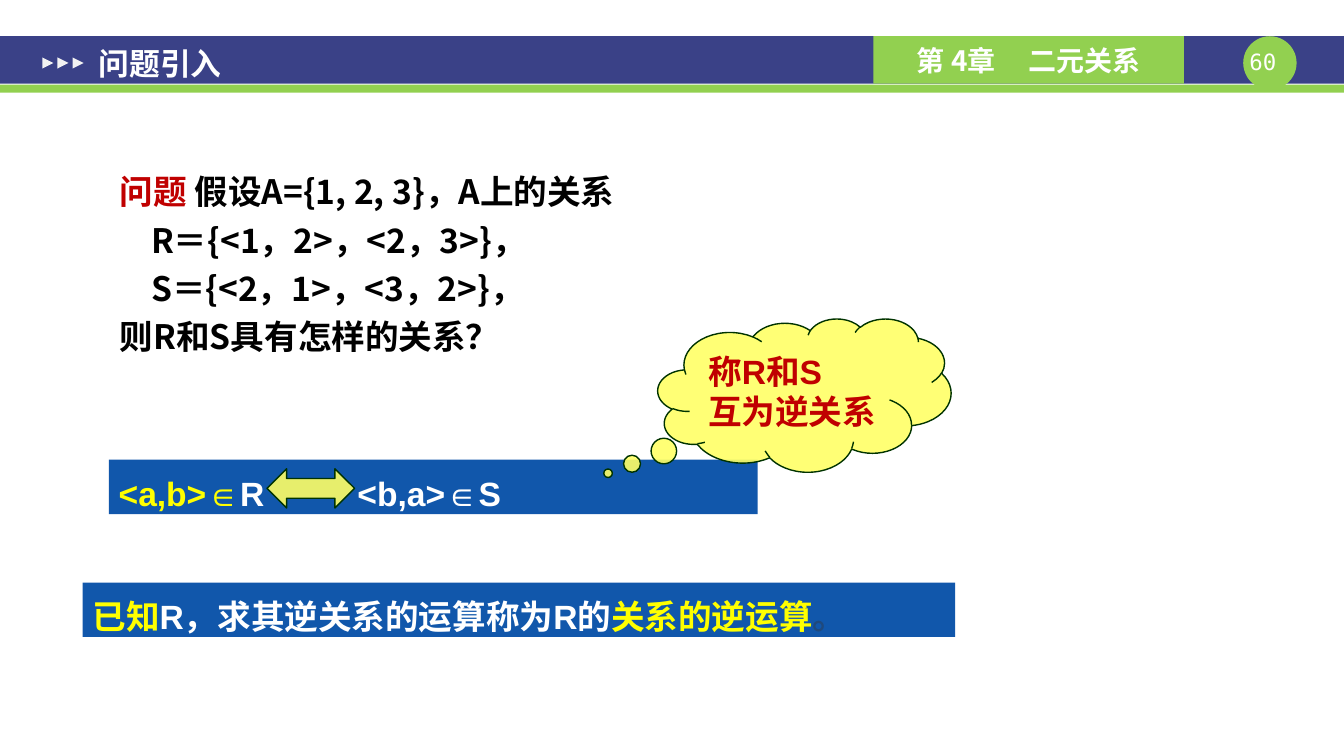
from pptx import Presentation
from pptx.util import Inches, Pt
from pptx.dml.color import RGBColor
from pptx.enum.shapes import MSO_SHAPE
from pptx.enum.text import MSO_ANCHOR, PP_ALIGN
from pptx.oxml.ns import qn
from lxml.etree import SubElement

WIDE, HIGH = 13.34, 7.5
NAVY, GREEN, BLUE, CREAM = "3A4187", "92D050", "1157AB", "FFFF66"
WHITE, BLACK, RED, YELLOW = "FFFFFF", "000000", "C00000", "FFFF00"
INK, EDGE, PALE = "1F497D", "003300", "F2F2F2"
HAN, MONO, SANS = "Noto Sans CJK SC", "DejaVu Sans Mono", "Arial"
SLIM = (0.1, 0.05, 0.1, 0.05)
ROOMY = (0.13, 0.07, 0.13, 0.07)


def color(code):
    return RGBColor.from_string(code)


def apply(target, values):
    for name, value in values.items():
        setattr(target, name, value)


def shape(slide, kind, box, fill, line=None, alpha=None):
    item = slide.shapes.add_shape(kind, *map(Inches, box))
    item.shadow.inherit = False
    item.fill.solid()
    item.fill.fore_color.rgb = color(fill)
    if alpha:
        tone = item.fill._xPr.find(qn("a:solidFill"))[0]
        SubElement(tone, qn("a:alpha"), val=str(alpha * 1000))
    if line:
        item.line.color.rgb = color(line)
        item.line.width = Pt(1)
    else:
        item.line.fill.background()
    return item


def label(slide, box):
    return slide.shapes.add_textbox(*map(Inches, box))


def write(item, lines, font, size=24, inset=SLIM, bold=True, pitch=None,
          anchor=MSO_ANCHOR.TOP, align=PP_ALIGN.LEFT, tab=None):
    """Fill an item with lines, each a list of (text, colour) runs."""
    frame = item.text_frame
    sides = ("margin_left", "margin_top", "margin_right", "margin_bottom")
    apply(frame, dict(zip(sides, map(Inches, inset))))
    apply(frame, {"word_wrap": True, "vertical_anchor": anchor})
    for index, runs in enumerate(lines):
        para = frame.add_paragraph() if index else frame.paragraphs[0]
        para.alignment = align
        if pitch:
            para.line_spacing = Pt(pitch)
        if tab:
            stops = SubElement(para._p.get_or_add_pPr(), qn("a:tabLst"))
            SubElement(stops, qn("a:tab"), pos=str(Inches(tab)), algn="l")
        for text, tint in runs:
            run = para.add_run()
            run.text = text
            apply(run.font, {"name": font, "size": Pt(size), "bold": bold})
            run.font.color.rgb = color(tint)
            SubElement(run._r.get_or_add_rPr(), qn("a:ea"), typeface=HAN)
    return frame


def header(slide, left, top, width):
    """Title band with arrows, chapter name and page number."""
    tall = 0.47
    mid = {"anchor": MSO_ANCHOR.MIDDLE}
    shape(slide, MSO_SHAPE.RECTANGLE, (left, top, width, tall), NAVY)
    shape(slide, MSO_SHAPE.RECTANGLE, (left, top + 0.48, width, 0.08), GREEN)

    right = left + width
    shape(slide, MSO_SHAPE.OVAL, (right - 1, top, 0.53, 0.53), GREEN)
    page = label(slide, (right - 1.07, top + 0.12, 0.53, 0.27))
    write(page, [[("60", WHITE)]], MONO, 16, (0, 0, 0, 0), False,
          align=PP_ALIGN.CENTER)

    part = shape(slide, MSO_SHAPE.RECTANGLE,
                 (right - 4.67, top, 3.08, tall), GREEN)
    write(part, [[("第 4章\t二元关系", WHITE)]], HAN, 20,
          (0.43, 0.05, 0.1, 0.05), tab=1.11, **mid)

    for step in range(3):
        mark = shape(slide, MSO_SHAPE.ISOSCELES_TRIANGLE,
                     (left + 0.42 + 0.15 * step, top + 0.21, 0.11, 0.11), PALE)
        mark.rotation = 90
    title = label(slide, (left + 0.85, top + 0.03, 5.83, tall))
    write(title, [[("问题引入", WHITE)]], HAN, 22, ROOMY, **mid)


def problem(slide, box):
    lines = [
        [("问题", RED), (" 假设A={1, 2, 3}，A上的关系", BLACK)],
        [("R＝{<1，2>，<2，3>}，", BLACK)],
        [("S＝{<2，1>，<3，2>}，", BLACK)],
        [("则R和S具有怎样的关系？", BLACK)],
    ]
    frame = write(label(slide, box), lines, HAN, inset=ROOMY, pitch=34.5)
    for para in frame.paragraphs[1:3]:
        para._p.get_or_add_pPr().set("marL", str(Inches(0.31)))


def banner(slide, box, runs, tab=None):
    bar = shape(slide, MSO_SHAPE.RECTANGLE, box, BLUE)
    write(bar, [runs], SANS, pitch=34.5, tab=tab)


def formula(slide, left, top):
    """Equivalence of the two pairs, with its arrow."""
    banner(slide, (left, top, 6.44, 0.54),
           [("<a,b>∈", YELLOW), ("R\t<b,a>∈S", WHITE)], 2.37)
    shape(slide, MSO_SHAPE.LEFT_RIGHT_ARROW,
          (left + 1.57, top + 0.09, 0.87, 0.39), CREAM, EDGE, 90)


def cloud(slide, box):
    bubble = shape(slide, MSO_SHAPE.CLOUD_CALLOUT, box, CREAM, EDGE, 90)
    bubble.adjustments[0] = -0.67
    bubble.adjustments[1] = 0.51
    write(bubble, [[("称R和S", RED)], [("互为逆关系", RED)]], SANS,
          pitch=28.6, anchor=MSO_ANCHOR.MIDDLE)


def main():
    deck = Presentation()
    apply(deck, {"slide_width": Inches(WIDE), "slide_height": Inches(HIGH)})
    slide = deck.slides.add_slide(deck.slide_layouts[6])
    header(slide, 0, 0.36, WIDE)
    problem(slide, (1.06, 1.55, 7.88, 3.31))
    formula(slide, 1.08, 4.56)
    cloud(slide, (6.53, 3.16, 2.91, 1.52))
    banner(slide, (0.82, 5.78, 8.66, 0.54),
           [("已知", YELLOW), ("R，求其逆关系的运算称为R的", WHITE),
            ("关系的逆运算", YELLOW), ("。", INK)])
    deck.save("out.pptx")


if __name__ == "__main__":
    main()
